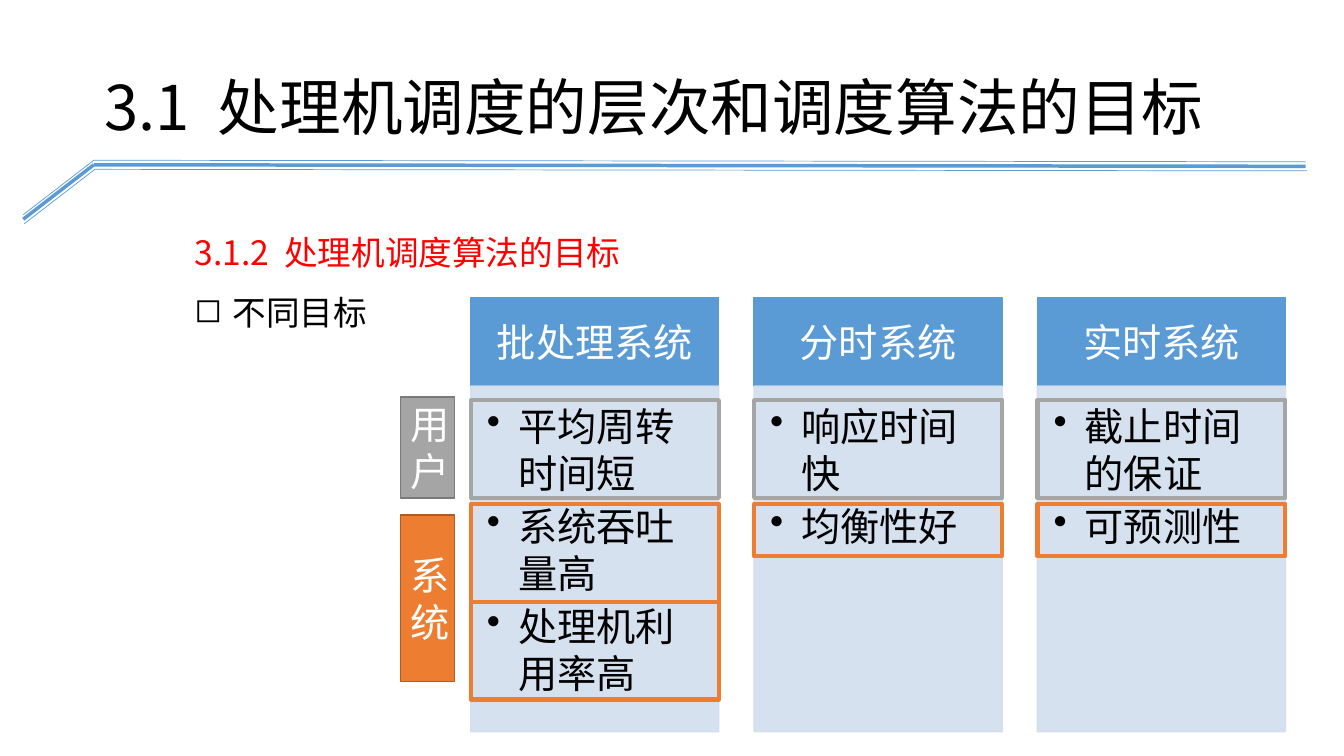
from lxml import etree
from pptx import Presentation
from pptx.dml.color import RGBColor
from pptx.enum.shapes import MSO_CONNECTOR, MSO_SHAPE
from pptx.enum.text import MSO_ANCHOR, PP_ALIGN
from pptx.oxml.ns import qn
from pptx.util import Inches, Pt

RECTANGLE, STRAIGHT = MSO_SHAPE.RECTANGLE, MSO_CONNECTOR.STRAIGHT
TOP, MIDDLE = MSO_ANCHOR.TOP, MSO_ANCHOR.MIDDLE
LEFT, CENTER = PP_ALIGN.LEFT, PP_ALIGN.CENTER

BLACK = RGBColor(0x00, 0x00, 0x00)
WHITE = RGBColor(0xFF, 0xFF, 0xFF)
RED = RGBColor(0xFF, 0x00, 0x00)
BLUE = RGBColor(0x5B, 0x9B, 0xD5)
PALE_BLUE = RGBColor(0xD2, 0xDE, 0xEF)
GRAY = RGBColor(0xA5, 0xA5, 0xA5)
DARK_GRAY = RGBColor(0x7A, 0x7A, 0x7A)
ORANGE = RGBColor(0xED, 0x7D, 0x31)
DARK_ORANGE = RGBColor(0xAF, 0x5C, 0x24)

HEADING_FONT, BODY_FONT = "Noto Sans CJK JP", "Calibri"
DEFAULT_INSETS = (0.1, 0.05, 0.1, 0.05)
HEADER_INSETS = (0.22, 0.12, 0.22, 0.12)
BODY_INSETS = (0.16, 0.16, 0.22, 0.24)

# All places and sizes are percentages of the slide's width and height.
COLUMN_LEFT, COLUMN_PITCH, COLUMN_WIDTH = 35.03, 21.08, 18.45
HEADER_TOP, HEADER_HEIGHT = 39.33, 11.73
BODY_TOP, BODY_HEIGHT = 51.07, 45.73
USER_TOP, SYSTEM_TOP = 52.93, 66.67
TWO_LINES, ONE_LINE = 12.93, 6.93
TAG_LEFT, TAG_WIDTH = 29.78, 4.05

# Title, user goal, and system goals with the height of each frame.
SYSTEMS = [
    ("批处理系统", "平均周转时间短",
     [("系统吞吐量高", TWO_LINES), ("处理机利用率高", TWO_LINES)]),
    ("分时系统", "响应时间快", [("均衡性好", ONE_LINE)]),
    ("实时系统", "截止时间的保证", [("可预测性", ONE_LINE)]),
]
TAGS = [
    ("用户", 52.53, 13.33, GRAY, DARK_GRAY),
    ("系统", 68.13, 22, ORANGE, DARK_ORANGE),
]
# Offset from the first stroke, and line width.
RULE_STROKES = [(0, 0, 0.5), (0, 0.6, 2.5), (0.08, 1.2, 0.5)]
RULE_POINTS = [(1.73, 28.4), (6.98, 21.2), (97.15, 21.4)]


class GoalSlide:
    def __init__(self, presentation):
        self.width = presentation.slide_width
        self.height = presentation.slide_height
        self.shapes = presentation.slides.add_slide(presentation.slide_layouts[6]).shapes

    def x(self, percent):
        return round(self.width * percent / 100)

    def y(self, percent):
        return round(self.height * percent / 100)

    def area(self, left, top, width, height):
        return self.x(left), self.y(top), self.x(width), self.y(height)

    def line(self, start, end, weight):
        stroke = self.shapes.add_connector(
            STRAIGHT, self.x(start[0]), self.y(start[1]), self.x(end[0]), self.y(end[1]))
        stroke.line.color.rgb = BLUE
        stroke.line.width = Pt(weight)
        etree.SubElement(stroke._element.spPr, qn("a:effectLst"))

    def box(self, area, fill, outline, weight=1, opacity=100):
        rectangle = self.shapes.add_shape(RECTANGLE, *self.area(*area))
        rectangle.shadow.inherit = False
        rectangle.line.color.rgb = outline
        rectangle.line.width = Pt(weight)
        if fill is None:
            rectangle.fill.background()
        else:
            rectangle.fill.solid()
            rectangle.fill.fore_color.rgb = fill
        if opacity < 100:
            for color in rectangle._element.spPr.iter(qn("a:srgbClr")):
                etree.SubElement(color, qn("a:alpha"), val=str(opacity * 1000))
        return rectangle.text_frame

    def text_area(self, area):
        return self.shapes.add_textbox(*self.area(*area)).text_frame

    def set_frame(self, frame, anchor=TOP, insets=DEFAULT_INSETS):
        frame.word_wrap = True
        frame.vertical_anchor = anchor
        (frame.margin_left, frame.margin_top,
         frame.margin_right, frame.margin_bottom) = map(Inches, insets)

    def style(self, paragraph, size, color, font=BODY_FONT, align=LEFT):
        paragraph.alignment = align
        paragraph.font.size = Pt(size)
        paragraph.font.color.rgb = color
        paragraph.font.name = font
        if font == HEADING_FONT:
            latin = paragraph.font._element.find(qn("a:latin"))
            latin.addnext(latin.makeelement(qn("a:ea"), {"typeface": font}))

    def numbered(self, paragraph, number, heading, size, color):
        """Write a section number and its heading with a widened space between."""
        self.style(paragraph, size, color, HEADING_FONT)
        for part in (number, " ", heading):
            run = paragraph.add_run()
            run.text = part
            if part == " ":
                run.font._element.set("spc", str(round(size * 22.4)))

    def bullet(self, paragraph, mark, indent):
        properties = paragraph._p.get_or_add_pPr()
        properties.set("marL", str(Inches(indent)))
        properties.set("indent", str(-Inches(indent)))
        bullet_mark = properties.makeelement(qn("a:buChar"), {"char": mark})
        properties.find(qn("a:defRPr")).addprevious(bullet_mark)

    def label(self, frame, text, insets=DEFAULT_INSETS):
        self.set_frame(frame, MIDDLE, insets)
        frame.text = text
        self.style(frame.paragraphs[0], 28, WHITE, align=CENTER)

    def system_column(self, left, title, goals):
        header = self.box((left, HEADER_TOP, COLUMN_WIDTH, HEADER_HEIGHT), BLUE, BLUE)
        self.label(header, title, HEADER_INSETS)
        body = self.box((left, BODY_TOP, COLUMN_WIDTH, BODY_HEIGHT),
                        PALE_BLUE, PALE_BLUE, opacity=90)
        self.set_frame(body, TOP, BODY_INSETS)
        body.text = "\n".join(goals)
        for goal in body.paragraphs:
            self.style(goal, 28, BLACK)
            goal.space_after = Pt(4.2)
            self.bullet(goal, "•", 0.31)

    def goal_frame(self, left, top, height, color):
        self.box((left, top, COLUMN_WIDTH, height), None, color, weight=3)


def main():
    presentation = Presentation()
    presentation.slide_width, presentation.slide_height = Inches(13.33), Inches(7.5)
    slide = GoalSlide(presentation)

    for dx, dy, weight in RULE_STROKES:
        points = [(x + dx, y + dy) for x, y in RULE_POINTS]
        for start, end in zip(points, points[1:]):
            slide.line(start, end, weight)

    section = slide.text_area((13.73, 27.33, 34.73, 17.47))
    slide.set_frame(section)
    heading, topic = section.paragraphs[0], section.add_paragraph()
    slide.numbered(heading, "3.1.2", "处理机调度算法的目标", 24, RED)
    topic.text = "不同目标"
    slide.style(topic, 24, BLACK, HEADING_FONT)
    slide.bullet(topic, "◻", 0.38)
    heading.line_spacing = topic.line_spacing = 1.5

    title = slide.text_area((7.05, 8.4, 85.22, 11.2))
    slide.set_frame(title)
    slide.numbered(title.paragraphs[0], "3.1", "处理机调度的层次和调度算法的目标", 44, BLACK)

    lefts = [COLUMN_LEFT + COLUMN_PITCH * index for index in range(len(SYSTEMS))]
    for left, (name, user_goal, system_goals) in zip(lefts, SYSTEMS):
        slide.system_column(left, name, [user_goal] + [goal for goal, _ in system_goals])

    for left, (_, _, system_goals) in zip(lefts, SYSTEMS):
        slide.goal_frame(left, USER_TOP, TWO_LINES, GRAY)
        top = SYSTEM_TOP
        for _, height in system_goals:
            slide.goal_frame(left, top, height, ORANGE)
            top += height

    for text, top, height, fill, outline in TAGS:
        slide.label(slide.box((TAG_LEFT, top, TAG_WIDTH, height), fill, outline), text)

    presentation.save("out.pptx")


if __name__ == "__main__":
    main()
